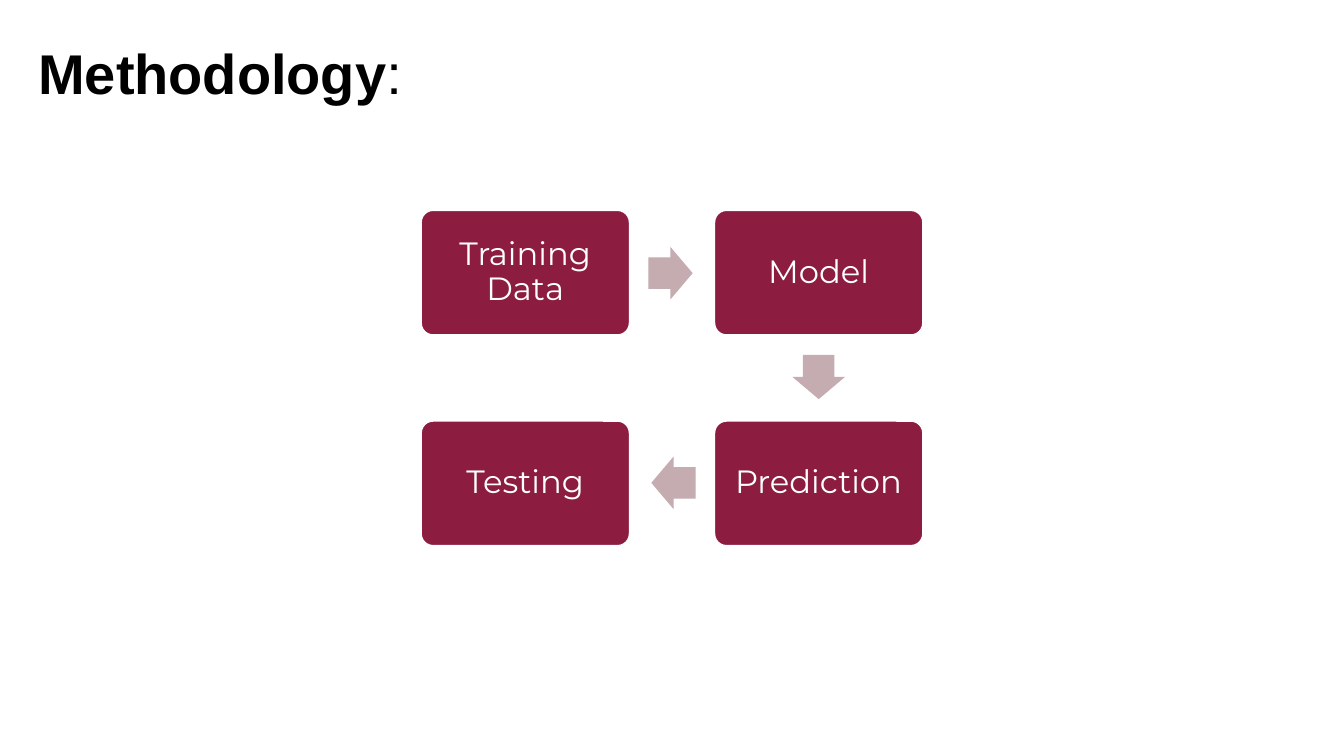
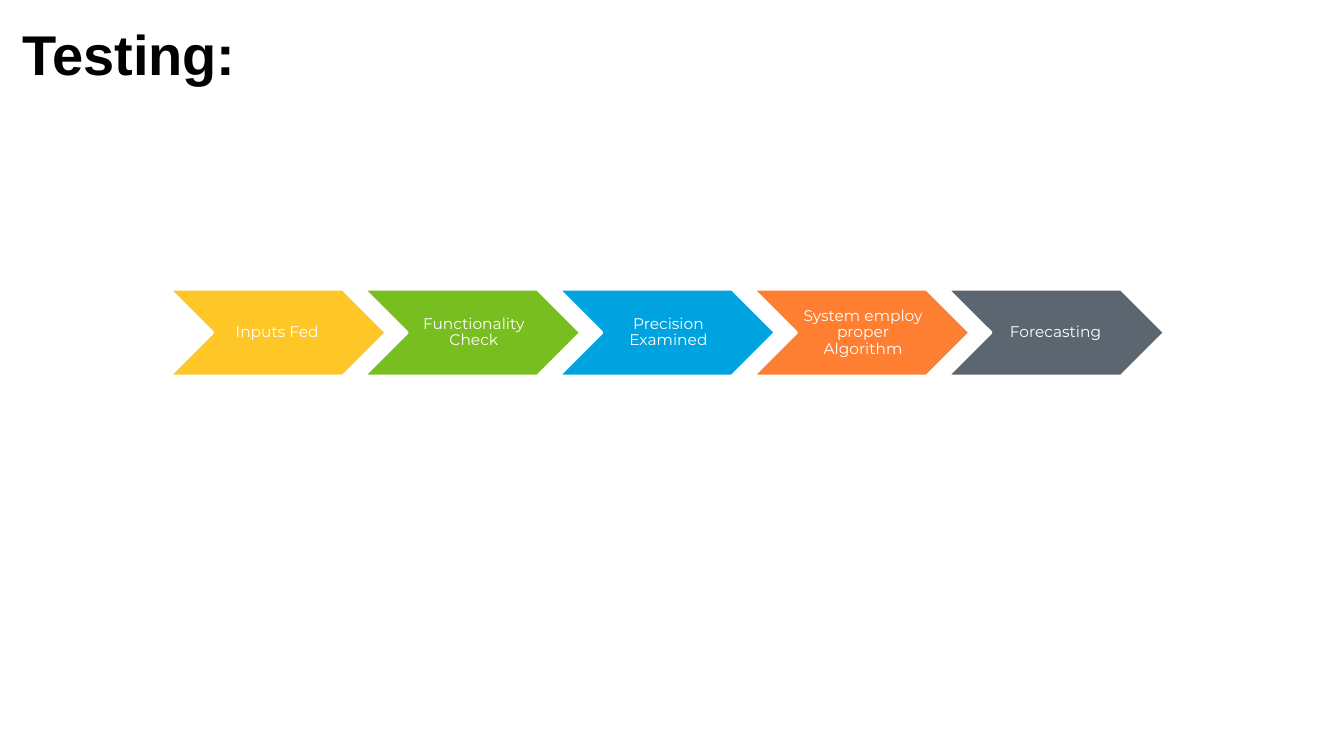
import pptx
import pptx.util
import pptx.dml.color
import pptx.enum.shapes
import pptx.enum.text

Inches = pptx.util.Inches
Pt = pptx.util.Pt
MSO = pptx.enum.shapes.MSO_SHAPE
ALIGN = pptx.enum.text.PP_ALIGN
ANCHOR = pptx.enum.text.MSO_ANCHOR

# Shared colours and fonts
WHITE, BLACK = "FFFFFF", "000000"
MAROON, ROSE = "8C1D40", "C5ACB0"
TITLE_FONT, BODY_FONT = "Arial", "Montserrat"

prs = pptx.Presentation()
prs.slide_width, prs.slide_height = Inches(13.33), Inches(7.5)


def titled_slide(box, runs, spacing):
    s = prs.slides.add_slide(prs.slide_layouts[5])
    sp = s.shapes.title
    sp.left, sp.top, sp.width, sp.height = [Inches(v) for v in box]
    tf = sp.text_frame
    tf.auto_size = pptx.enum.text.MSO_AUTO_SIZE.NONE
    tf.vertical_anchor = ANCHOR.TOP
    p = tf.paragraphs[0]
    p.alignment = ALIGN.JUSTIFY
    p.line_spacing = spacing
    for text, bold in runs:
        r = p.add_run()
        r.text = text
        r.font.name, r.font.size, r.font.bold = TITLE_FONT, Pt(40), bold
        r.font.color.rgb = pptx.dml.color.RGBColor.from_string(BLACK)
    return s


def add_block(s, kind, box, fill, text="", size=11, margins=(0, 0, 0, 0)):
    sp = s.shapes.add_shape(kind, *[Inches(v) for v in box])
    sp.shadow.inherit = False
    sp.fill.solid()
    sp.fill.fore_color.rgb = pptx.dml.color.RGBColor.from_string(fill)
    if not text:
        sp.line.fill.background()
        return sp
    sp.line.color.rgb = pptx.dml.color.RGBColor.from_string(WHITE)
    sp.line.width = Pt(2)
    tf = sp.text_frame
    tf.word_wrap = True
    tf.vertical_anchor = ANCHOR.MIDDLE
    tf.margin_left, tf.margin_top, tf.margin_right, tf.margin_bottom = [
        Inches(v) for v in margins]
    p = tf.paragraphs[0]
    p.alignment = ALIGN.CENTER
    p.line_spacing = 0.9
    r = p.add_run()
    r.text = text
    r.font.name, r.font.size = BODY_FONT, Pt(size)
    r.font.color.rgb = pptx.dml.color.RGBColor.from_string(WHITE)
    return sp


# Slide 1: four steps on a two by two grid, read clockwise
s = titled_slide((0.28, 0, 12.72, 0.99),
                 [("Methodology", True), (": ", False)], 1.5)
left, top, step_w, step_h = 4.17, 2.08, 2.08, 1.25
col_pitch, row_pitch = 2.91, 2.09
steps = [("Training Data", 0, 0), ("Model", 1, 0),
         ("Prediction", 1, 1), ("Testing", 0, 1)]
for text, col, row in steps:
    box = (left + col * col_pitch, top + row * row_pitch, step_w, step_h)
    sp = add_block(s, MSO.ROUNDED_RECTANGLE, box, MAROON, text, 23, (0.1,) * 4)
    sp.adjustments[0] = 0.1

# Arrows between the steps
for x, y, angle in [(6.43, 2.45, 0), (7.9, 3.48, 90), (6.46, 4.53, 180)]:
    sp = add_block(s, MSO.RIGHT_ARROW, (x, y, 0.44, 0.52), ROSE)
    sp.adjustments[0], sp.adjustments[1] = 0.6, 0.5
    sp.rotation = angle

# Slide 2: a row of chevrons
s = titled_slide((0.12, -0.09, 13, 0.91), [("Testing: ", True)], Pt(65))
stages = [("Inputs Fed ", "FFC627"), ("Functionality Check", "78BE20"),
          ("Precision Examined", "00A3E0"),
          ("System employ proper Algorithm", "FF7F32"),
          ("Forecasting ", "5C6670")]
for i, (text, fill) in enumerate(stages):
    box = (1.68 + i * 1.93, 2.87, 2.15, 0.86)
    add_block(s, MSO.CHEVRON, box, fill, text, 11, (0.05, 0.02, 0.02, 0.02))

prs.save("out.pptx")
